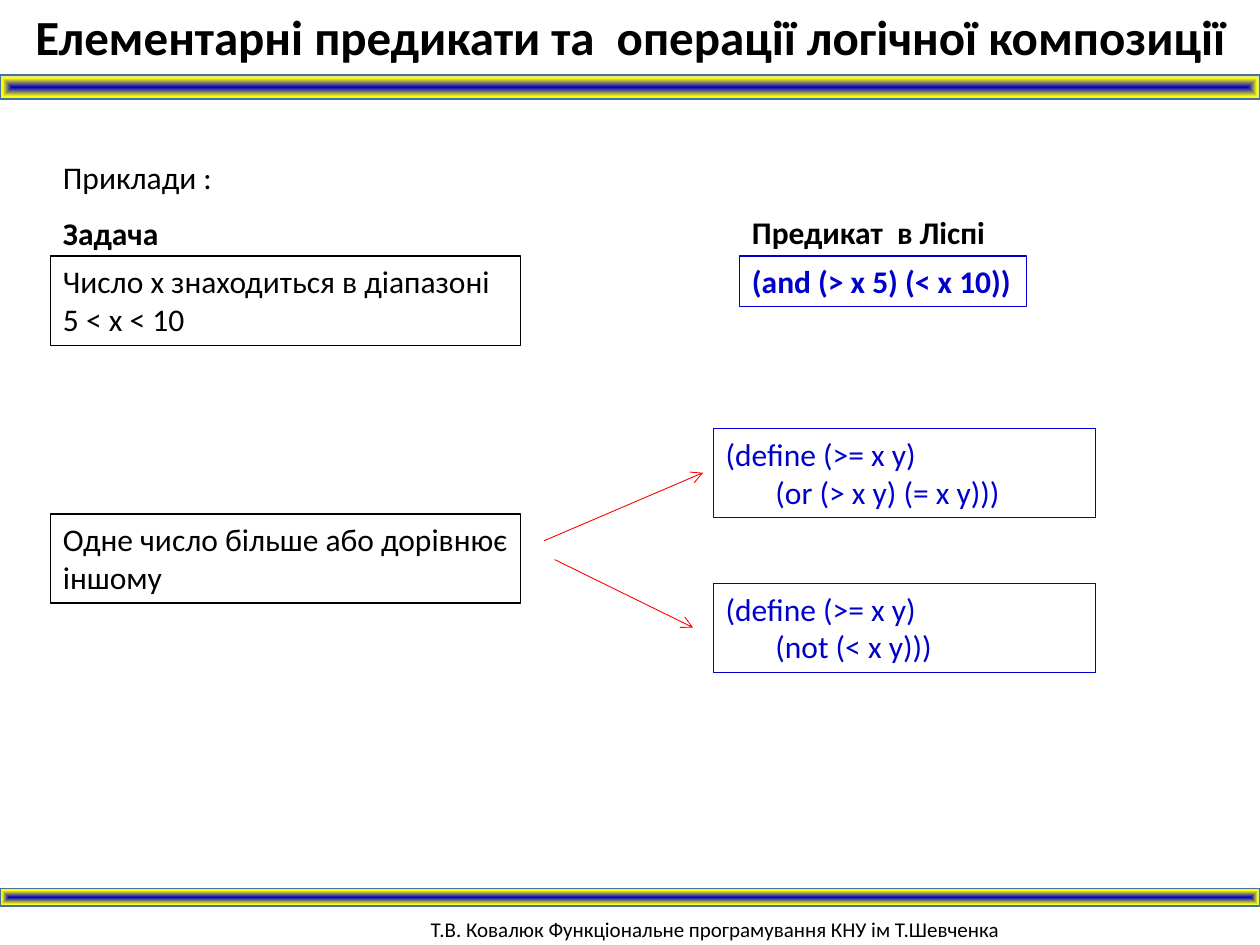
from dataclasses import dataclass

import pptx
import pptx.dml.color
import pptx.enum.shapes
import pptx.enum.text
import pptx.oxml
import pptx.oxml.ns
import pptx.util
from pptx.util import Cm


@dataclass(frozen=True)
class Theme:
    font: str = "Calibri"
    black: str = "000000"
    blue: str = "0000CC"
    red: str = "FF0000"
    edge: str = "43739E"
    stops: tuple = ((0, "0000CC"), (77, "FFFF00"), (100, "CEE1F2"))
    head: float = 28
    body: float = 18
    foot: float = 12


THEME = Theme()


@dataclass(frozen=True)
class Box:
    left: float
    top: float
    width: float
    height: float
    lines: tuple
    color: str = THEME.black
    size: float = THEME.body
    bold: bool = False
    frame: bool = False
    wrap: bool = True
    center: bool = False


@dataclass(frozen=True)
class Bar:
    top: float
    height: float


@dataclass(frozen=True)
class Arrow:
    start: tuple
    end: tuple


WIDE = 25.4
LEFT, RIGHT, CODE = 1.02, 14.91, 14.38
TASK_W, CODE_W = 9.47, 7.7
ROW, TALL = 1.02, 1.8

BARS = (Bar(1.52, 0.48), Bar(17.91, 0.36))
BOXES = (
    Box(8.43, 18.36, 15.24, 0.81,
        ("Т.В. Ковалюк Функціональне програмування КНУ ім Т.Шевченка",),
        size=THEME.foot),
    Box(0, 0, WIDE, 1.45,
        ("Елементарні предикати та  операції логічної композиції",),
        size=THEME.head, bold=True, center=True),
    Box(LEFT, 3.07, 3.56, ROW, ("Приклади :",), wrap=False),
    Box(LEFT, 4.19, 2.59, ROW, ("Задача",), bold=True, wrap=False),
    Box(RIGHT, 4.17, 5.26, ROW, ("Предикат  в Ліспі",), bold=True, wrap=False),
    Box(LEFT, 5.16, TASK_W, TALL,
        ("Число x знаходиться в діапазоні  5 < x < 10",), frame=True),
    Box(RIGHT, 5.16, 5.79, ROW, ("(and (> x 5) (< x 10))",),
        color=THEME.blue, bold=True, frame=True, wrap=False),
    Box(LEFT, 10.36, TASK_W, TALL,
        ("Одне число більше або дорівнює іншому",), frame=True),
    Box(CODE, 8.64, CODE_W, TALL,
        ("(define (>= x y)", "       (or (> x y) (= x y)))"),
        color=THEME.blue, frame=True),
    Box(CODE, 11.76, CODE_W, TALL,
        ("(define (>= x y)", "       (not (< x y)))"),
        color=THEME.blue, frame=True),
)
ARROWS = (
    Arrow((10.97, 10.9), (14.17, 9.53)),
    Arrow((11.18, 11.28), (13.97, 12.65)),
)


def rgb(code: str) -> pptx.dml.color.RGBColor:
    return pptx.dml.color.RGBColor.from_string(code)


def stroke(line, color: str, width: float) -> None:
    line.color.rgb = rgb(color)
    line.width = pptx.util.Pt(width)


def draw_bar(slide, bar: Bar) -> None:
    """Draw a full-width band whose gradient runs from its centre outwards."""
    shape = slide.shapes.add_shape(
        pptx.enum.shapes.MSO_SHAPE.RECTANGLE,
        0, Cm(bar.top), Cm(WIDE), Cm(bar.height))
    shape.shadow.inherit = False
    stroke(shape.line, THEME.edge, 1)
    shape.fill.gradient()
    old = shape.element.spPr.find(pptx.oxml.ns.qn("a:gradFill"))
    stops = "".join(
        f'<a:gs pos="{pos * 1000}"><a:srgbClr val="{color}"/></a:gs>'
        for pos, color in THEME.stops)
    new = pptx.oxml.parse_xml(
        f'<a:gradFill {pptx.oxml.ns.nsdecls("a")} rotWithShape="1">'
        f'<a:gsLst>{stops}</a:gsLst><a:path path="shape">'
        '<a:fillToRect l="50000" t="50000" r="50000" b="50000"/>'
        '</a:path></a:gradFill>')
    old.getparent().replace(old, new)


def draw_box(slide, box: Box) -> None:
    shape = slide.shapes.add_textbox(
        Cm(box.left), Cm(box.top), Cm(box.width), Cm(box.height))
    if box.frame:
        stroke(shape.line, box.color, 0.75)
    text = shape.text_frame
    text.word_wrap = box.wrap
    for num, line in enumerate(box.lines):
        para = text.add_paragraph() if num else text.paragraphs[0]
        if box.center:
            para.alignment = pptx.enum.text.PP_ALIGN.CENTER
        run = para.add_run()
        run.text = line
        run.font.name = THEME.font
        run.font.size = pptx.util.Pt(box.size)
        run.font.bold = box.bold
        run.font.color.rgb = rgb(box.color)


def draw_arrow(slide, arrow: Arrow) -> None:
    ends = [Cm(val) for val in arrow.start + arrow.end]
    link = slide.shapes.add_connector(
        pptx.enum.shapes.MSO_CONNECTOR.STRAIGHT, *ends)
    stroke(link.line, THEME.red, 0.5)
    names = pptx.oxml.ns.nsdecls("a")
    link.line._get_or_add_ln().append(
        pptx.oxml.parse_xml(f'<a:tailEnd {names} type="arrow"/>'))
    link.element.spPr.append(pptx.oxml.parse_xml(f"<a:effectLst {names}/>"))


def main() -> None:
    deck = pptx.Presentation()
    deck.slide_width, deck.slide_height = Cm(WIDE), Cm(19.05)
    slide = deck.slides.add_slide(deck.slide_layouts[6])
    for bar in BARS:
        draw_bar(slide, bar)
    for box in BOXES:
        draw_box(slide, box)
    for arrow in ARROWS:
        draw_arrow(slide, arrow)
    deck.save("out.pptx")


if __name__ == "__main__":
    main()
